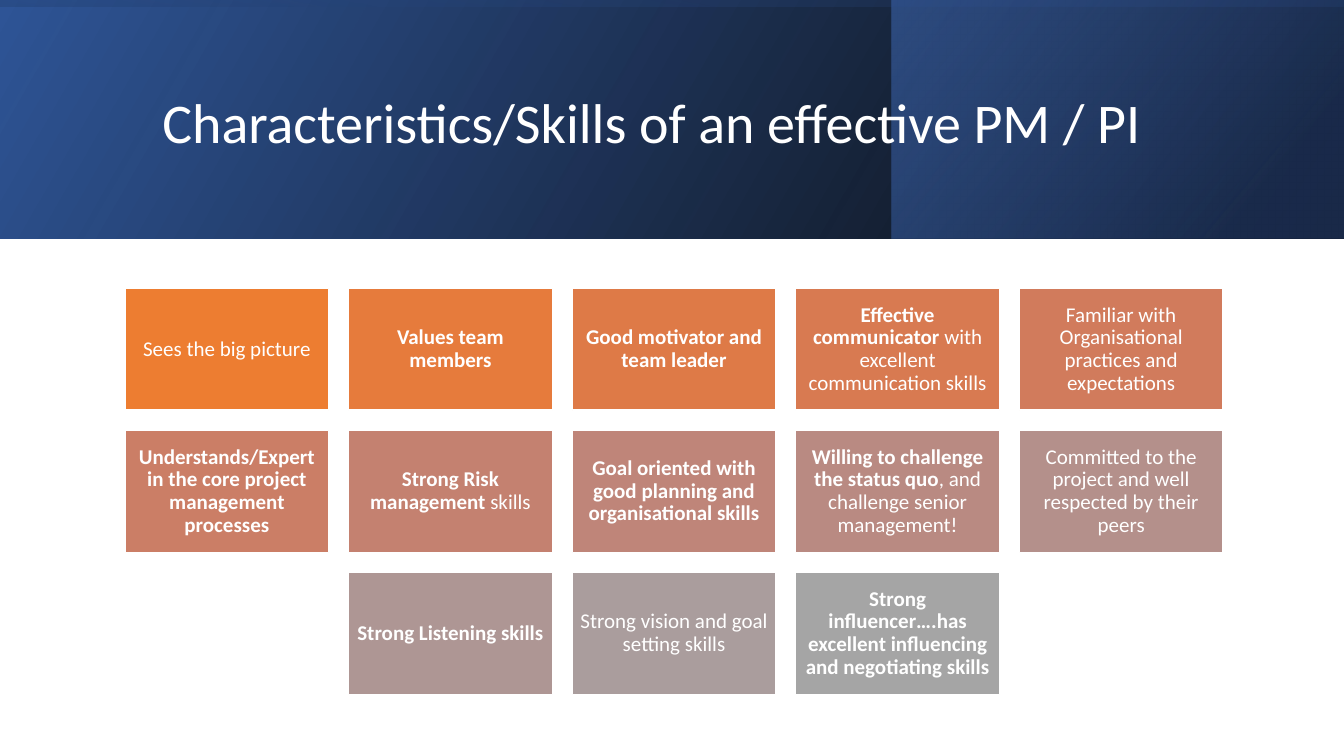
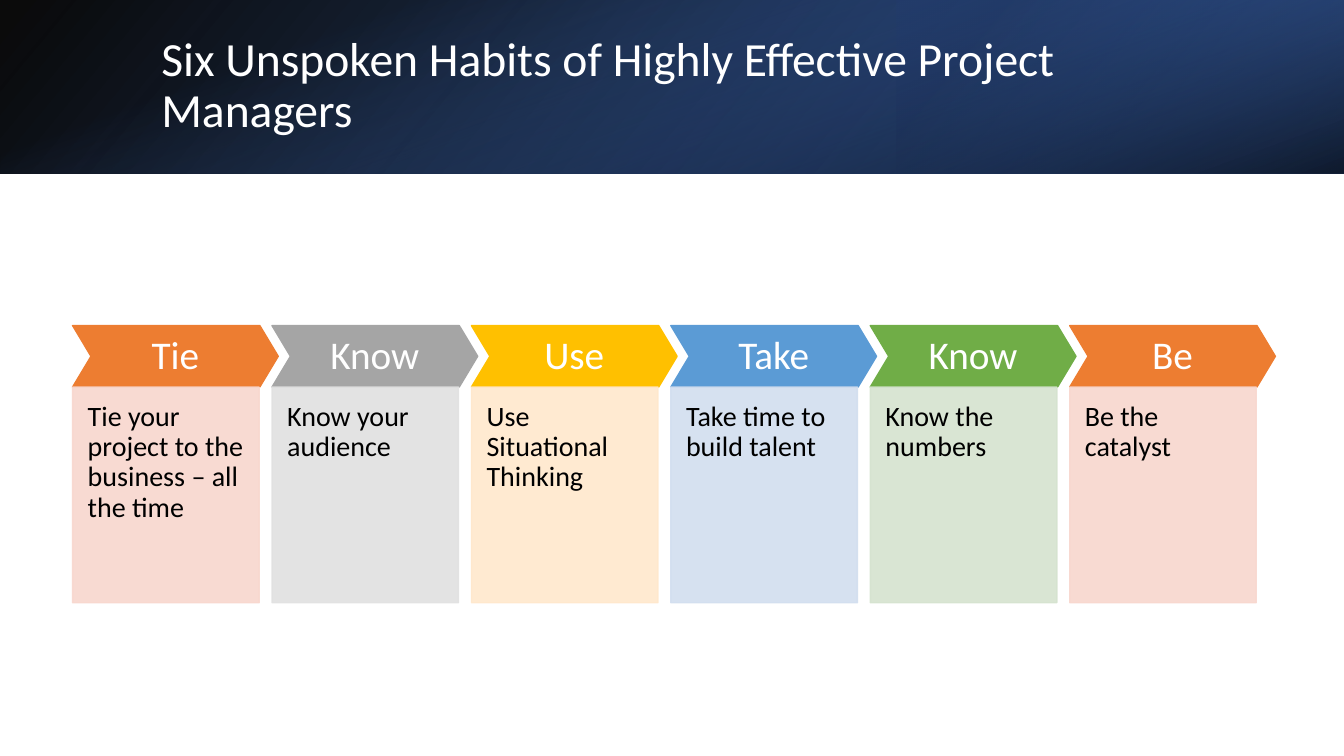
from colorsys import hls_to_rgb, rgb_to_hls
from dataclasses import dataclass

from lxml import etree
from pptx import Presentation
from pptx.dml.color import RGBColor
from pptx.enum import shapes, text
from pptx.oxml import ns
from pptx.util import Inches, Pt


@dataclass(frozen=True)
class Theme:
    font: str = "Calibri"
    white: str = "FFFFFF"
    black: str = "000000"
    navy: str = "203864"
    deep_blue: str = "2F5597"
    blue: str = "4472C4"
    orange: str = "ED7D31"
    grey: str = "A5A5A5"
    skill_size: int = 15
    habit_size: int = 28
    detail_size: int = 20


THEME = Theme()
TITLE_ONLY = 5


@dataclass(frozen=True)
class Box:
    left: float
    top: float
    width: float
    height: float

    def lengths(self) -> tuple:
        return tuple(Inches(v) for v in (self.left, self.top, self.width, self.height))


@dataclass(frozen=True)
class Stop:
    position: int
    color: str
    opacity: int = 100


@dataclass(frozen=True)
class Band:
    box: Box
    stops: tuple[Stop, Stop]
    angle: int  # clockwise degrees
    rotation: int = 0
    flipped: bool = True


@dataclass(frozen=True)
class Skill:
    strong: str = ""
    plain: str = ""


@dataclass(frozen=True)
class Habit:
    name: str
    detail: str
    color: str
    tint: str


# Shared drawing functions
def set_opacity(shape, opacities) -> None:
    colors = shape.element.spPr.iter(ns.qn("a:srgbClr"))
    for color, opacity in zip(colors, opacities):
        if opacity < 100:
            etree.SubElement(color, ns.qn("a:alpha")).set("val", str(opacity * 1000))


def add_block(slide, kind, box: Box, fill: str, line: str):
    block = slide.shapes.add_shape(kind, *box.lengths())
    block.shadow.inherit = False
    block.fill.solid()
    block.fill.fore_color.rgb = RGBColor.from_string(fill)
    block.line.color.rgb = RGBColor.from_string(line)
    block.line.width = Pt(1)
    return block


def style_text(frame, size: int, color: str, align, anchor, inset: float):
    """Format a frame and return its first paragraph."""
    frame.word_wrap = True
    frame.auto_size = text.MSO_AUTO_SIZE.NONE
    frame.vertical_anchor = anchor
    frame.margin_left = frame.margin_right = Inches(inset)
    frame.margin_top = frame.margin_bottom = Inches(inset)
    paragraph = frame.paragraphs[0]
    paragraph.alignment = align
    paragraph.line_spacing = 0.9
    paragraph.font.name = THEME.font
    paragraph.font.size = Pt(size)
    paragraph.font.color.rgb = RGBColor.from_string(color)
    return paragraph


def add_band(slide, band: Band) -> None:
    shape = slide.shapes.add_shape(shapes.MSO_SHAPE.RECTANGLE, *band.box.lengths())
    shape.shadow.inherit = False
    shape.line.fill.background()
    shape.rotation = band.rotation
    if band.flipped:
        shape.element.spPr.xfrm.set("flipH", "1")
    shape.fill.gradient()
    shape.fill.gradient_angle = 360 - band.angle
    for target, stop in zip(shape.fill.gradient_stops, band.stops):
        target.position = stop.position / 100
        target.color.rgb = RGBColor.from_string(stop.color)
    set_opacity(shape, [stop.opacity for stop in band.stops])


def add_titled_slide(deck, title: str, box: Box, size: int, bands: list[Band]):
    slide = deck.slides.add_slide(deck.slide_layouts[TITLE_ONLY])
    for band in bands:
        add_band(slide, band)
    heading = slide.shapes.title
    heading.left, heading.top, heading.width, heading.height = box.lengths()
    heading.text_frame.text = title
    style_text(heading.text_frame, size, THEME.white, text.PP_ALIGN.LEFT,
               text.MSO_ANCHOR.MIDDLE, 0.1)
    # Keep the title in front of the bands
    slide.shapes._spTree.append(heading.element)
    return slide


def header_bands(height: float, split: float, base_angle: int, accent_opacity: int,
                 accent_rotation: int, glow: Band) -> list[Band]:
    """Full-width base, right-hand accent, and a rotated glow on top."""
    return [
        Band(Box(0, 0, 13.33, height),
             (Stop(0, THEME.black, 96), Stop(100, THEME.deep_blue)), base_angle),
        Band(Box(split, 0, 13.33 - split, height),
             (Stop(19, THEME.navy, 68), Stop(100, THEME.blue, accent_opacity)),
             320, accent_rotation),
        glow,
    ]


def upright_box(height: float) -> Box:
    """Box that fills the header once turned by a quarter."""
    offset = (13.33 - height) / 2
    return Box(offset, -offset, height, 13.33)


# Slide 1: grid of skills
SKILL_ROWS = [
    [Skill(plain="Sees the big picture"),
     Skill("Values team members"),
     Skill("Good motivator and team leader"),
     Skill("Effective communicator ", "with excellent communication skills"),
     Skill(plain="Familiar with Organisational practices and expectations")],
    [Skill("Understands/Expert in the core project management processes"),
     Skill("Strong Risk management ", "skills"),
     Skill("Goal oriented with good planning and organisational skills"),
     Skill("Willing to challenge the status quo", ", and challenge senior management!"),
     Skill(plain="Committed to the project and well respected by their peers")],
    [Skill("Strong Listening skills"),
     Skill(plain="Strong vision and goal setting skills"),
     Skill("Strong influencer….has excellent influencing and negotiating skills")],
]


def blend(start: str, end: str, share: float) -> str:
    """Colour between two others, by hue, lightness and saturation."""
    first, last = (rgb_to_hls(*(v / 255 for v in RGBColor.from_string(c)))
                   for c in (start, end))
    mixed = hls_to_rgb(*(a + (b - a) * share for a, b in zip(first, last)))
    return str(RGBColor(*(round(v * 255) for v in mixed)))


def add_skill(slide, skill: Skill, box: Box, color: str) -> None:
    card = add_block(slide, shapes.MSO_SHAPE.RECTANGLE, box, color, THEME.white)
    paragraph = style_text(card.text_frame, THEME.skill_size, THEME.white,
                           text.PP_ALIGN.CENTER, text.MSO_ANCHOR.MIDDLE, 0.06)
    paragraph.font.bold = bool(skill.strong)
    if skill.strong:
        paragraph.add_run().text = skill.strong
    if skill.plain:
        run = paragraph.add_run()
        run.text = skill.plain
        if skill.strong:
            run.font.bold = False


def build_skills(deck) -> None:
    height = 2.37
    glow = Band(upright_box(height),
                (Stop(23, THEME.deep_blue, 16), Stop(99, THEME.black, 45)), 350, 270)
    slide = add_titled_slide(
        deck, "Characteristics/Skills of an effective PM / PI",
        Box(1.51, 0.38, 10.63, 1.72), 40,
        header_bands(height, 8.84, 330, 48, 0, glow))

    left, right, top, width, card_height, row_pitch = 1.24, 12.13, 2.86, 2.02, 1.21, 1.41
    columns = len(SKILL_ROWS[0])
    pitch = (right - left - width) / (columns - 1)
    last = sum(map(len, SKILL_ROWS)) - 1
    index = 0
    for row, skills in enumerate(SKILL_ROWS):
        row_left = left + (columns - len(skills)) / 2 * pitch
        for column, skill in enumerate(skills):
            box = Box(row_left + column * pitch, top + row * row_pitch, width, card_height)
            add_skill(slide, skill, box, blend(THEME.orange, THEME.grey, index / last))
            index += 1


# Slide 2: row of habits
HABITS = [
    Habit("Tie", "Tie your project to the business – all the time", THEME.orange, "F8D7CE"),
    Habit("Know", "Know your audience", THEME.grey, "E1E1E1"),
    Habit("Use", "Use Situational Thinking", "FFC000", "FFE8CC"),
    Habit("Take", "Take time to build talent", "5B9BD5", "D2DEEF"),
    Habit("Know", "Know the numbers", "70AD47", "D5E3CF"),
    Habit("Be", "Be the catalyst", THEME.orange, "F8D7CE"),
]


def add_habit(slide, habit: Habit, left: float) -> None:
    arrow = add_block(slide, shapes.MSO_SHAPE.CHEVRON, Box(left, 3.23, 2.04, 0.61),
                      habit.color, habit.color)
    arrow.adjustments[0] = 0.3
    arrow.text_frame.text = habit.name
    style_text(arrow.text_frame, THEME.habit_size, THEME.white,
               text.PP_ALIGN.CENTER, text.MSO_ANCHOR.MIDDLE, 0.08)

    panel = add_block(slide, shapes.MSO_SHAPE.RECTANGLE, Box(left, 3.84, 1.85, 2.14),
                      habit.tint, habit.tint)
    set_opacity(panel, (90, 90))
    panel.text_frame.text = habit.detail
    style_text(panel.text_frame, THEME.detail_size, THEME.black,
               text.PP_ALIGN.LEFT, text.MSO_ANCHOR.TOP, 0.15)


def build_habits(deck) -> None:
    height = 1.72
    glow = Band(upright_box(height),
                (Stop(23, THEME.blue, 0), Stop(99, THEME.black, 74)), 340, 90, False)
    slide = add_titled_slide(
        deck, "Six Unspoken Habits of Highly Effective Project Managers",
        Box(1.5, 0.38, 10.98, 0.96), 34,
        header_bands(height, 8.89, 140, 79, 180, glow))
    first, last = 0.72, 10.61
    pitch = (last - first) / (len(HABITS) - 1)
    for index, habit in enumerate(HABITS):
        add_habit(slide, habit, first + index * pitch)


def main() -> None:
    deck = Presentation()
    deck.slide_width, deck.slide_height = Inches(13.33), Inches(7.5)
    build_skills(deck)
    build_habits(deck)
    deck.save("out.pptx")


if __name__ == "__main__":
    main()
